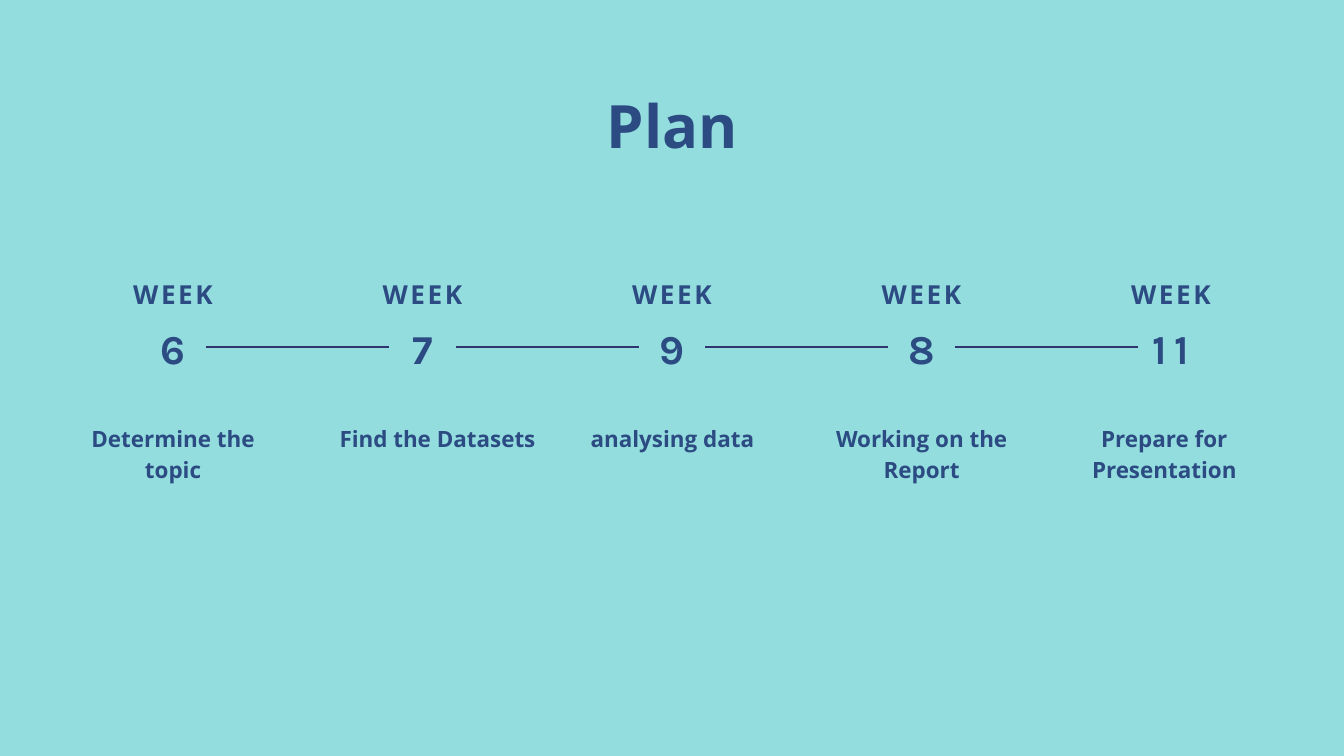
"""Build a one-slide project plan with a five-step weekly timeline."""
from pptx import Presentation
from pptx.dml.color import RGBColor
from pptx.enum.shapes import MSO_CONNECTOR, MSO_SHAPE
from pptx.enum.text import MSO_ANCHOR, MSO_AUTO_SIZE, PP_ALIGN
from pptx.oxml.ns import qn
from pptx.util import Inches, Pt
from lxml import etree

AQUA = RGBColor(0x94, 0xDD, 0xDE)
NAVY = RGBColor(0x2B, 0x4B, 0x82)
INDIGO = RGBColor(0x31, 0x35, 0x6E)

FIRST_CENTER, STEP = 2.575, 3.7125
NODE_WIDTH, NODE_HEIGHT, NODE_TOP = 0.99, 0.97, 4.68
LINE_Y = NODE_TOP + NODE_HEIGHT / 2


def write(box, text, size, leading, font="Open Sans", spacing=0, anchor=MSO_ANCHOR.TOP):
    frame = box.text_frame
    frame.margin_left = frame.margin_right = frame.margin_top = frame.margin_bottom = 0
    frame.word_wrap = True
    frame.auto_size = MSO_AUTO_SIZE.NONE
    frame.vertical_anchor = anchor
    frame.text = text
    paragraph = frame.paragraphs[0]
    paragraph.alignment = PP_ALIGN.CENTER
    paragraph.line_spacing = Pt(leading)
    paragraph.space_before = Pt(0)
    paragraph.font.name = font
    paragraph.font.size = Pt(size)
    paragraph.font.bold = True
    paragraph.font.color.rgb = NAVY
    if spacing:
        paragraph.runs[0].font._element.set("spc", str(int(spacing * 100)))


def add_label(left, top, width, height, *style, **options):
    box = slide.shapes.add_textbox(Inches(left), Inches(top), Inches(width), Inches(height))
    write(box, *style, **options)


prs = Presentation()
prs.slide_width, prs.slide_height = Inches(20), Inches(11.25)
slide = prs.slides.add_slide(prs.slide_layouts[5])
slide.background.fill.solid()
slide.background.fill.fore_color.rgb = AQUA

title = slide.shapes.title
title.left, title.top = Inches(1.18), Inches(1.45)
title.width, title.height = Inches(17.65), Inches(0.96)
write(title, "Plan", 64, 67.2)

steps = [
    ("6", "Determine the topic", 1.23, 2.69),
    ("7", "Find the Datasets", 4.97, 3.08),
    ("9", "analysing data", 8.66, 2.69),
    ("8", "Working on the Report", 12.25, 2.93),
    ("11", "Prepare for Presentation", 15.78, 3.09),
]

previous_node = None
for index, (week, task, task_left, task_width) in enumerate(steps):
    center = FIRST_CENTER + index * STEP
    node_left = center - NODE_WIDTH / 2

    if index:
        node = slide.shapes.add_shape(
            MSO_SHAPE.RECTANGLE, Inches(node_left), Inches(NODE_TOP),
            Inches(NODE_WIDTH), Inches(NODE_HEIGHT))
        node.shadow.inherit = False
        node.fill.solid()
        node.fill.fore_color.rgb = AQUA
        node.line.fill.background()

        link = slide.shapes.add_connector(
            MSO_CONNECTOR.STRAIGHT, Inches(node_left - STEP + NODE_WIDTH), Inches(LINE_Y),
            Inches(node_left), Inches(LINE_Y))
        if previous_node:
            link.begin_connect(previous_node, 3)
        link.end_connect(node, 1)
        link.line.color.rgb = INDIGO
        link.line.width = Pt(2.25)
        etree.SubElement(link._element.spPr, qn("a:effectLst"))
        previous_node = node

    add_label(center - 1.35, 4.07, 2.7, 0.51, "WEEK", 28, 39.2, spacing=2.8)
    add_label(node_left, 4.59, NODE_WIDTH, 1.06, week, 44, 61.6,
              font="Karla", spacing=7.5, anchor=MSO_ANCHOR.MIDDLE)
    add_label(task_left, 6.26, task_width, 0.9, task, 24, 33.6)

prs.save("out.pptx")
